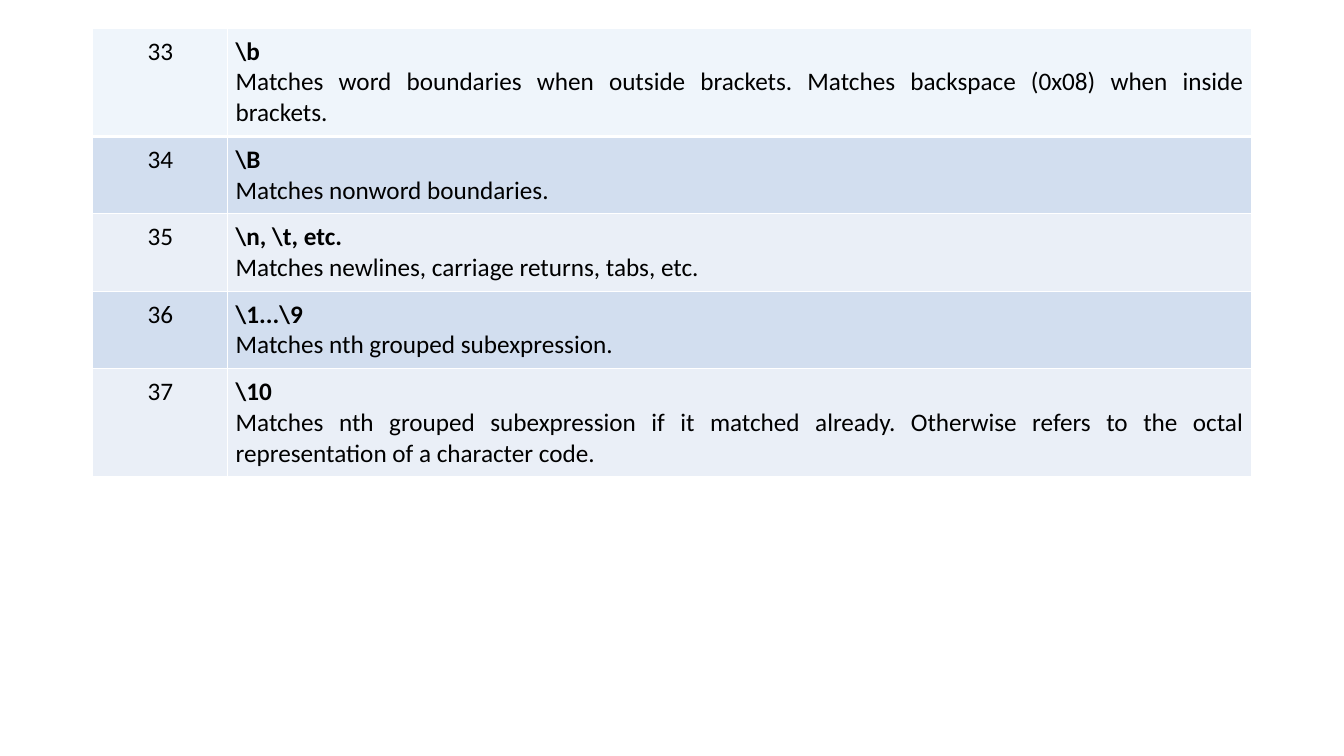
from dataclasses import dataclass

from lxml.etree import SubElement
from pptx import Presentation
from pptx.dml.color import RGBColor
from pptx.enum.text import PP_ALIGN as Align
from pptx.oxml.ns import qn
from pptx.table import _Cell as Cell
from pptx.util import Cm, Pt

BLACK = RGBColor(0x00, 0x00, 0x00)
WHITE = RGBColor(0xFF, 0xFF, 0xFF)
TOP_FILL = RGBColor(0xEF, 0xF5, 0xFB)
DARK_BAND = RGBColor(0xD2, 0xDE, 0xEF)
LIGHT_BAND = RGBColor(0xEA, 0xEF, 0xF7)

COLUMN_WIDTHS = (Cm(3.4), Cm(25.81))
LINE_HEIGHT = 0.75
PADDING = Cm(0.2)
THIN, THICK = Pt(1), Pt(3)


@dataclass
class Pattern:
    number: int
    syntax: str
    meaning: str
    lines: int = 2


PATTERNS = [
    Pattern(33, r"\b", "Matches word boundaries when outside brackets. "
            "Matches backspace (0x08) when inside brackets.", 3),
    Pattern(34, r"\B", "Matches nonword boundaries."),
    Pattern(35, r"\n, \t, etc.", "Matches newlines, carriage returns, tabs, etc."),
    Pattern(36, r"\1...\9", "Matches nth grouped subexpression."),
    Pattern(37, r"\10", "Matches nth grouped subexpression if it matched already. "
            "Otherwise refers to the octal representation of a character code.", 3),
]


def style_cell(cell: Cell, fill: RGBColor, top: int, bottom: int) -> None:
    """Set padding, white borders and fill; borders must precede the fill."""
    cell.margin_left = cell.margin_right = PADDING
    cell.margin_top = cell.margin_bottom = PADDING
    properties = cell._tc.get_or_add_tcPr()
    for side, width in (("L", THIN), ("R", THIN), ("T", top), ("B", bottom)):
        border = SubElement(properties, qn(f"a:ln{side}"), w=str(width))
        paint = SubElement(border, qn("a:solidFill"))
        SubElement(paint, qn("a:srgbClr"), val=str(WHITE))
    cell.fill.solid()
    cell.fill.fore_color.rgb = fill


def write_cell(cell: Cell, texts: list[str], align: Align, bold_first: bool) -> None:
    """Write one paragraph per text."""
    frame = cell.text_frame
    for index, text in enumerate(texts):
        para = frame.add_paragraph() if index else frame.paragraphs[0]
        para.alignment = align
        span = para.add_run()
        span.text = text
        span.font.name = "Calibri"
        span.font.size = Pt(18)
        span.font.bold = bold_first and index == 0
        span.font.color.rgb = BLACK


def main() -> None:
    deck = Presentation()
    deck.slide_width, deck.slide_height = Cm(33.87), Cm(19.05)
    page = deck.slides.add_slide(deck.slide_layouts[6])

    # Table frame
    heights = [Cm(pattern.lines * LINE_HEIGHT + 0.45) for pattern in PATTERNS]
    table = page.shapes.add_table(len(PATTERNS), len(COLUMN_WIDTHS), Cm(2.34), Cm(0.71),
                                  sum(COLUMN_WIDTHS), sum(heights)).table
    for column, width in zip(table.columns, COLUMN_WIDTHS):
        column.width = width

    # Pattern rows
    for index, pattern in enumerate(PATTERNS):
        table.rows[index].height = heights[index]
        band = DARK_BAND if index % 2 else LIGHT_BAND
        for cell in table.rows[index].cells:
            style_cell(cell, band if index else TOP_FILL,
                       top=THICK if index == 1 else THIN,
                       bottom=THICK if index == 0 else THIN)
        number_cell, text_cell = table.rows[index].cells
        write_cell(number_cell, [str(pattern.number)], Align.CENTER, False)
        write_cell(text_cell, [pattern.syntax, pattern.meaning], Align.JUSTIFY, True)

    deck.save("out.pptx")


if __name__ == "__main__":
    main()
